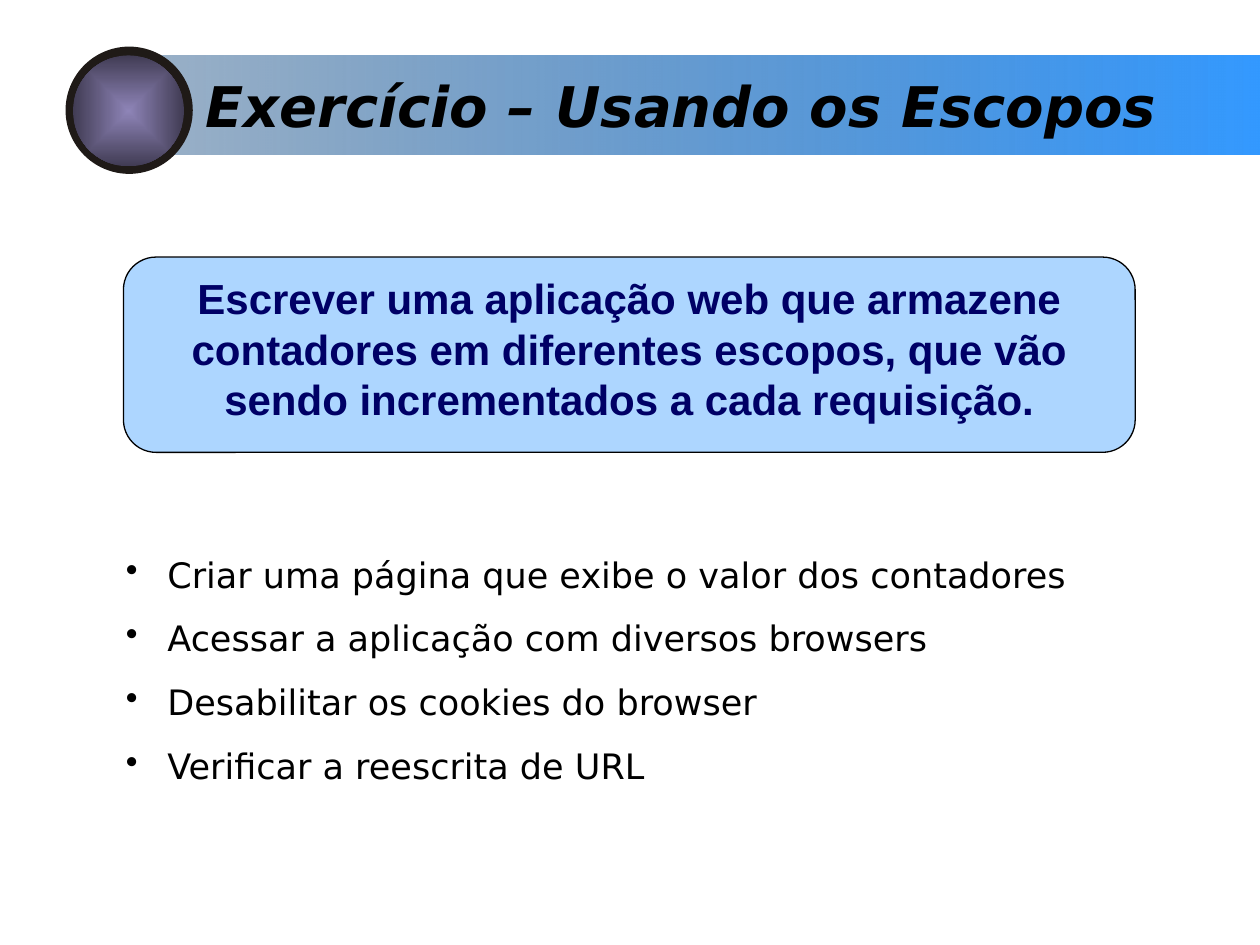
from lxml import etree
from pptx import Presentation
from pptx.dml.color import RGBColor
from pptx.enum.shapes import MSO_SHAPE as SHAPE
from pptx.enum.text import MSO_ANCHOR as ANCHOR, PP_ALIGN as ALIGN
from pptx.oxml.ns import qn
from pptx.util import Inches, Pt

COLORS = {
    "text": "000000", "navy": "000066", "blue": "3399FF", "deep": "194D81",
    "ring": "1F1A17", "lilac": "8E84B7", "plum": "413C54",
}
TITLE = {"name": "DejaVu Sans", "size": Pt(32), "bold": True, "italic": True}
TASK = {"name": "Arial", "size": Pt(24), "bold": True}
BODY = {"name": "DejaVu Sans", "size": Pt(20)}


def rgb(name):
    return RGBColor.from_string(COLORS[name])


class SlideBuilder:
    def __init__(self, slide):
        self.slide = slide

    def shape(self, kind, box, fill=None, line=None):
        sp = self.slide.shapes.add_shape(kind, *map(Inches, box))
        sp.shadow.inherit = False
        if fill:
            sp.fill.solid()
            sp.fill.fore_color.rgb = rgb(fill)
        if line:
            sp.line.color.rgb = rgb(line)
            sp.line.width = Pt(0.75)
        else:
            sp.line.fill.background()
        return sp

    def gradient(self, sp, start, end, angle=0):
        sp.fill.gradient()
        sp.fill.gradient_angle = angle
        for stop, name, position in zip(sp.fill.gradient_stops, (start, end), (0, 1)):
            stop.color.rgb = rgb(name)
            stop.position = position

    def center_gradient(self, sp):
        lin = sp.element.spPr.find(".//" + qn("a:lin"))
        center = etree.Element(qn("a:path"), {"path": "rect"})
        etree.SubElement(center, qn("a:fillToRect"), dict.fromkeys("ltrb", "50000"))
        lin.getparent().replace(lin, center)

    def alpha(self, sp, name, percent):
        for color in sp.element.spPr.iter(qn("a:srgbClr")):
            if color.get("val") == COLORS[name]:
                etree.SubElement(color, qn("a:alpha"), val=str(percent * 1000))

    def text_box(self, box):
        sp = self.slide.shapes.add_textbox(*map(Inches, box))
        return sp.text_frame

    def add_text(self, tf, lines, style, color="text", align=ALIGN.LEFT, bullet=None, gap=0):
        tf.word_wrap = True
        tf.vertical_anchor = ANCHOR.TOP
        for i, line in enumerate(lines):
            p = tf.add_paragraph() if i else tf.paragraphs[0]
            p.alignment = align
            if i:
                p.space_before = Pt(gap)
            if bullet:
                self.bullet(p, bullet)
            r = p.add_run()
            r.text = line
            for key, value in style.items():
                setattr(r.font, key, value)
            r.font.color.rgb = rgb(color)

    def bullet(self, p, char, indent=0.33):
        pPr = p._p.get_or_add_pPr()
        pPr.set("marL", str(Inches(indent)))
        pPr.set("indent", str(-Inches(indent)))
        etree.SubElement(pPr, qn("a:buChar"), char=char)


def main():
    prs = Presentation()
    prs.slide_width, prs.slide_height = Inches(10), Inches(7.5)
    s = SlideBuilder(prs.slides.add_slide(prs.slide_layouts[6]))

    # Title band
    band = s.shape(SHAPE.RECTANGLE, (1.22, 0.44, 8.78, 0.79))
    s.gradient(band, "blue", "deep", 180)
    s.alpha(band, "deep", 44)
    s.add_text(s.text_box((1.53, 0.52, 8.47, 0.64)), ["Exercício – Usando os Escopos"], TITLE)

    # Round button
    s.shape(SHAPE.OVAL, (0.52, 0.37, 1.01, 1.01), "ring")
    button = s.shape(SHAPE.OVAL, (0.58, 0.44, 0.88, 0.88))
    s.gradient(button, "lilac", "plum")
    s.center_gradient(button)

    # Task statement
    task = s.shape(SHAPE.ROUNDED_RECTANGLE, (0.98, 2.04, 8.03, 1.55), "blue", "text")
    task.adjustments[0] = 0.167
    s.alpha(task, "blue", 40)
    s.add_text(task.text_frame, [
        "Escrever uma aplicação web que armazene contadores em diferentes escopos, "
        "que vão sendo incrementados a cada requisição."
    ], TASK, "navy", ALIGN.CENTER)

    # Steps
    s.add_text(s.text_box((0.9, 4.34, 7.88, 1.96)), [
        "Criar uma página que exibe o valor dos contadores",
        "Acessar a aplicação com diversos browsers",
        "Desabilitar os cookies do browser",
        "Verificar a reescrita de URL",
    ], BODY, bullet="•", gap=12.5)

    prs.save("out.pptx")


if __name__ == "__main__":
    main()
